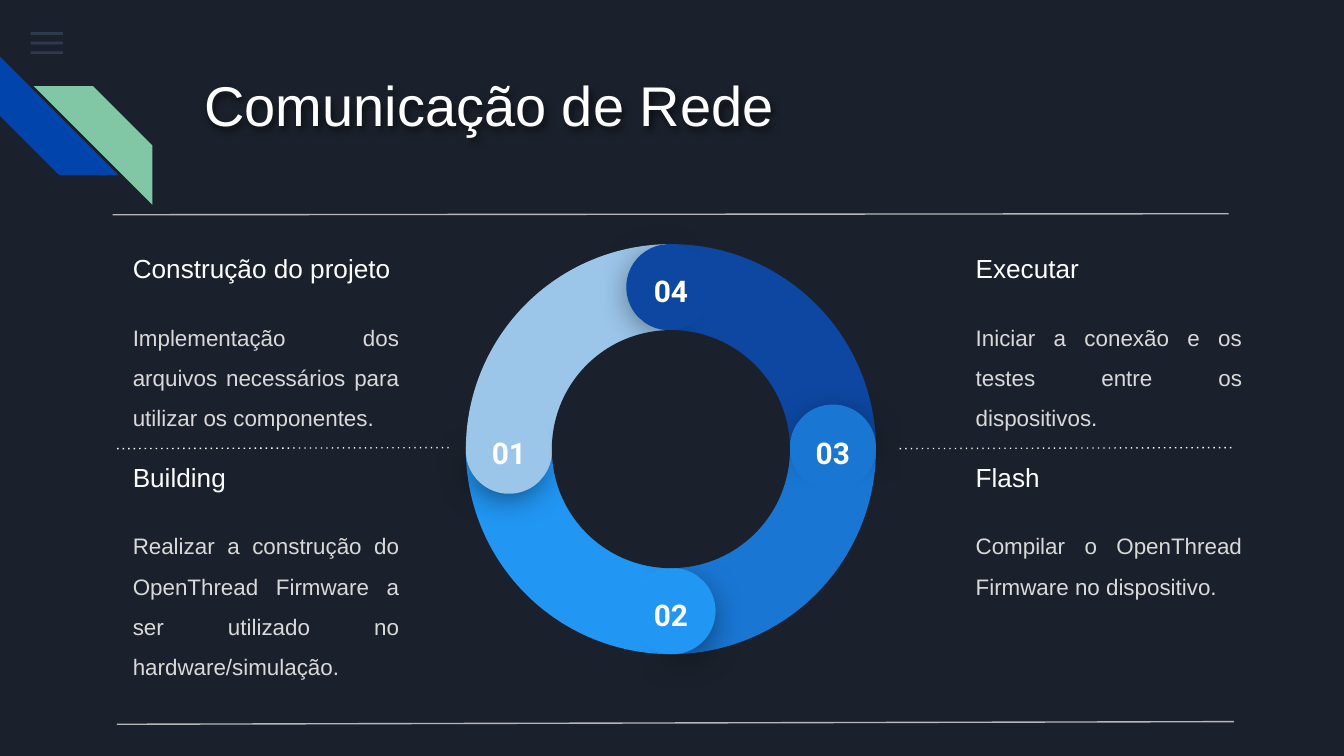
import math

import pptx
import pptx.dml.color
import pptx.enum.dml
import pptx.enum.shapes
import pptx.enum.text
import pptx.oxml
import pptx.oxml.ns
import pptx.util
from dataclasses import dataclass

Cm = pptx.util.Cm
SHAPE = pptx.enum.shapes.MSO_SHAPE
ALIGN = pptx.enum.text.PP_ALIGN
ANCHOR = pptx.enum.text.MSO_ANCHOR
qn = pptx.oxml.ns.qn


@dataclass(frozen=True)
class Theme:
    background: str = "1B212C"
    white: str = "FFFFFF"
    body: str = "D9D9D9"
    rule: str = "B7B7B7"
    menu: str = "55688B"
    blue: str = "0145AC"
    green: str = "82C7A5"
    shadow: str = "000000"
    font: str = "Arial"
    number_font: str = "Roboto"
    title_size: int = 30
    number_size: int = 16
    heading_size: int = 14
    body_size: int = 12
    line_width: float = 0.75


T = Theme()

TITLE = "Comunicação de Rede"
COLUMNS = [
    (2.26, [
        ("Construção do projeto",
         "Implementação dos arquivos necessários para utilizar os componentes."),
        ("Building",
         "Realizar a construção do OpenThread Firmware a ser utilizado no hardware/simulação."),
    ]),
    (18.19, [
        ("Executar", "Iniciar a conexão e os testes entre os dispositivos."),
        ("Flash", "Compilar o OpenThread Firmware no dispositivo."),
    ]),
]
STAGES = [("01", "9BC5E9"), ("02", "2196F3"), ("03", "1976D2"), ("04", "0D47A1")]
RULES = [
    (23.22, 4.04, 2.13, 4.06, T.rule, False),
    (8.48, 8.46, 2.16, 8.48, T.white, True),
    (23.27, 8.46, 16.94, 8.48, T.white, True),
    (23.32, 13.64, 2.21, 13.69, T.rule, False),
]
STRIPES = [(0, 1.07, 270, T.blue), (0.64, 1.63, 90, T.green)]
STRIPE_SIZE = 2.24
MENU_TOP, MENU_STEP, MENU_BARS = 0.61, 0.18, 3
ROW_TOP, ROW_STEP, BODY_OFFSET = 4.45, 3.94, 1.17
CENTER_X, CENTER_Y = 12.68, 8.49
RING, HOLE, HALF_CAP, FULL_CAP = 7.75, 4.5, 1.45, 1.63
CAP_RADIUS, HALF_CAP_RADIUS, CAP_SHIFT = 3.06, 3.1, 0.03
LABEL_W, LABEL_H, LABEL_LIFT = 1.42, 0.74, 0.15

prs = pptx.Presentation()
prs.slide_width, prs.slide_height = Cm(25.4), Cm(14.29)
s = prs.slides.add_slide(prs.slide_layouts[6])


def rgb(color):
    return pptx.dml.color.RGBColor.from_string(color)


def add_shadow(sp, alpha, blur, distance, direction):
    sp.shadow.inherit = False
    effects = sp._element.spPr.find(qn("a:effectLst"))
    effects.append(pptx.oxml.parse_xml(
        f'<a:outerShdw {pptx.oxml.ns.nsdecls("a")} blurRad="{pptx.util.Pt(blur)}" '
        f'dist="{pptx.util.Pt(distance)}" dir="{direction * 60000}" algn="bl" rotWithShape="0">'
        f'<a:srgbClr val="{T.shadow}"><a:alpha val="{alpha * 1000}"/></a:srgbClr></a:outerShdw>'))


def add_shape(kind, x, y, w, h, color, rotation=0, angles=(), alpha=None):
    sp = s.shapes.add_shape(kind, Cm(x), Cm(y), Cm(w), Cm(h))
    sp.shadow.inherit = False
    sp.fill.solid()
    sp.fill.fore_color.rgb = rgb(color)
    sp.line.fill.background()
    sp.rotation = rotation % 360
    for i, angle in enumerate(angles):
        sp.adjustments[i] = angle * 0.6
    if alpha:
        clr = sp._element.spPr.find(qn("a:solidFill"))[0]
        clr.append(pptx.oxml.parse_xml(
            f'<a:alpha {pptx.oxml.ns.nsdecls("a")} val="{alpha * 1000}"/>'))
    return sp


def add_round(kind, cx, cy, size, color, **options):
    return add_shape(kind, cx - size / 2, cy - size / 2, size, size, color, **options)


def add_text(text, x, y, w, h, *, size, color=T.white, font=T.font, bold=False,
             align=ALIGN.LEFT, anchor=ANCHOR.TOP, spacing=None, after=None):
    sp = s.shapes.add_textbox(Cm(x), Cm(y), Cm(w), Cm(h))
    tf = sp.text_frame
    tf.word_wrap = True
    tf.vertical_anchor = anchor
    tf.margin_left = tf.margin_right = tf.margin_top = tf.margin_bottom = Cm(0.25)
    p = tf.paragraphs[0]
    p.alignment = align
    if spacing:
        p.line_spacing = spacing
    if after:
        p.space_after = pptx.util.Pt(after)
    r = p.add_run()
    r.text = text
    r.font.name, r.font.size, r.font.bold = font, pptx.util.Pt(size), bold
    r.font.color.rgb = rgb(color)
    return sp


def add_rule(x1, y1, x2, y2, color, dotted):
    c = s.shapes.add_connector(pptx.enum.shapes.MSO_CONNECTOR.STRAIGHT,
                               Cm(x1), Cm(y1), Cm(x2), Cm(y2))
    c.line.color.rgb = rgb(color)
    c.line.width = pptx.util.Pt(T.line_width)
    if dotted:
        c.line.dash_style = pptx.enum.dml.MSO_LINE.ROUND_DOT
        c._element.spPr.find(".//" + qn("a:prstDash")).set("val", "dot")
    c._element.spPr.append(pptx.oxml.parse_xml(
        f'<a:effectLst {pptx.oxml.ns.nsdecls("a")}/>'))


def ring_point(stage, radius, shift=0):
    angle = math.radians(180 - 90 * stage)
    return (CENTER_X + radius * math.cos(angle) + shift * math.sin(angle),
            CENTER_Y + radius * math.sin(angle) - shift * math.cos(angle))


s.background.fill.solid()
s.background.fill.fore_color.rgb = rgb(T.background)

for bar in range(MENU_BARS):
    add_shape(SHAPE.RECTANGLE, 0.58, MENU_TOP + bar * MENU_STEP, 0.61, 0.05, T.menu, alpha=36)
for x, y, rotation, color in STRIPES:
    add_shape(SHAPE.DIAGONAL_STRIPE, x, y, STRIPE_SIZE, STRIPE_SIZE, color, rotation)

title = add_text(TITLE, 3.61, 1.09, 19.56, 2.54, size=T.title_size)
add_shadow(title, 60, 4, 2, 60)

for rule in RULES:
    add_rule(*rule)

for i, (number, color) in enumerate(STAGES):
    add_round(SHAPE.PIE, CENTER_X, CENTER_Y, RING, color, rotation=-90 * i, angles=(180, 270))
for i, (number, color) in enumerate(STAGES):
    half = add_round(SHAPE.PIE, *ring_point(i, HALF_CAP_RADIUS, CAP_SHIFT), HALF_CAP, color,
                     rotation=39.5 - 90 * i, angles=(315.9, 139.7))
    add_shadow(half, 55, 18, 4, 90)
    add_round(SHAPE.CHORD, *ring_point(i, CAP_RADIUS, CAP_SHIFT), FULL_CAP, color,
              rotation=4.1 - 90 * i, angles=(41.7, 30.2))
    x, y = ring_point(i, CAP_RADIUS)
    add_text(number, x - LABEL_W / 2, y - LABEL_H / 2 - LABEL_LIFT, LABEL_W, LABEL_H,
             size=T.number_size, font=T.number_font, bold=True, align=ALIGN.CENTER)
add_round(SHAPE.OVAL, CENTER_X, CENTER_Y, HOLE, T.background)

for x, entries in COLUMNS:
    for row, (heading, body) in enumerate(entries):
        y = ROW_TOP + row * ROW_STEP
        add_text(heading, x, y, 5.92, 1.24, size=T.heading_size, anchor=ANCHOR.MIDDLE)
        add_text(body, x, y + BODY_OFFSET, 5.54, 1.93, size=T.body_size, color=T.body,
                 align=ALIGN.JUSTIFY, spacing=1.5, after=16)

prs.save("out.pptx")
